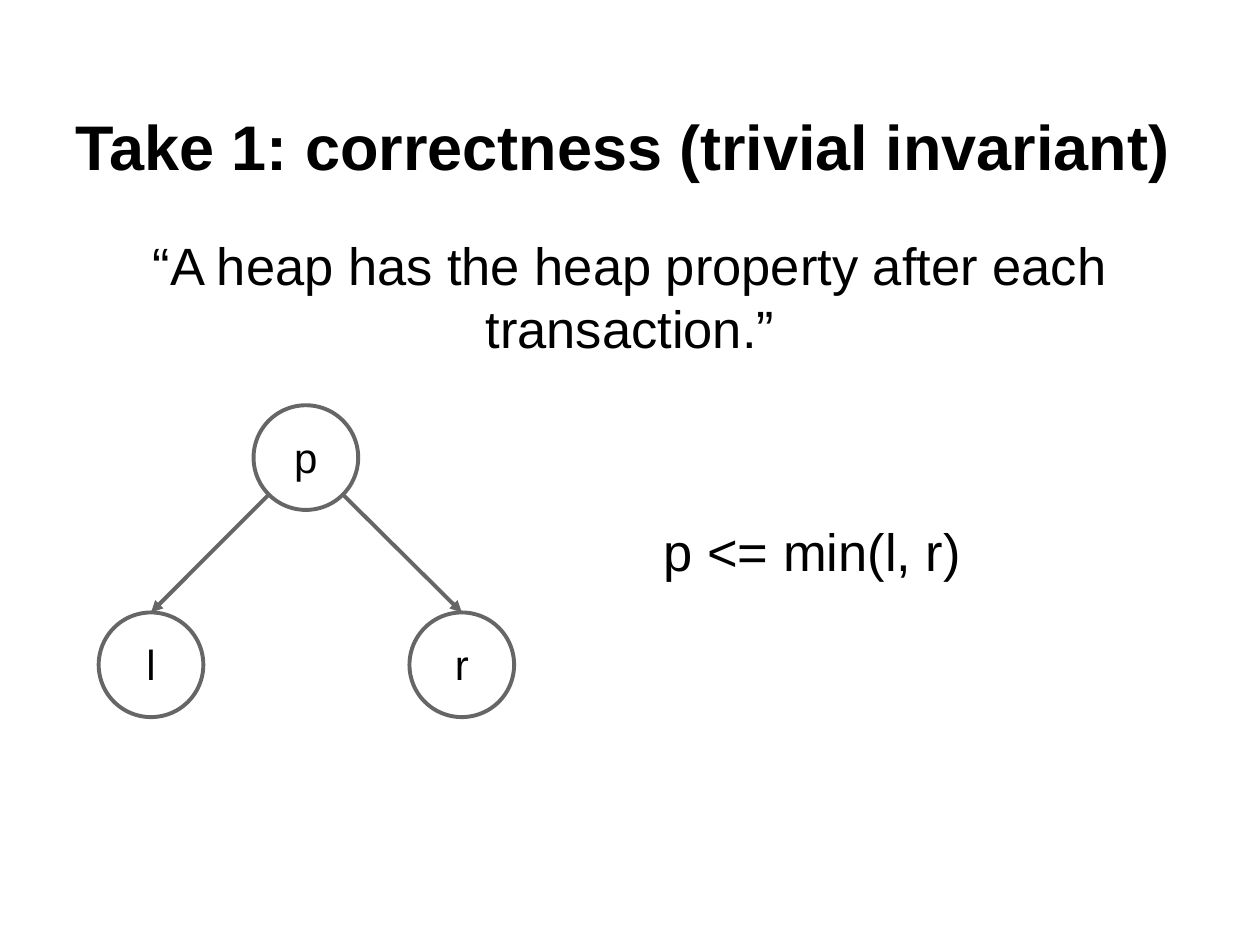
from pptx import Presentation
from pptx.dml.color import RGBColor
from pptx.enum.shapes import MSO_CONNECTOR as Line, MSO_SHAPE as Shape
from pptx.enum.text import MSO_ANCHOR as Anchor, PP_ALIGN as Align
from pptx.oxml.ns import qn
from pptx.util import Pt
from lxml.etree import SubElement

INK, GRAY, WHITE = "000000", "666666", "FFFFFF"
INSET = Pt(7.2)
DIAMETER = 59.8


def color(hex_value):
    return RGBColor.from_string(hex_value)


def place_text(slide, box, text, size, align=Align.LEFT, anchor=Anchor.TOP, bold=False):
    frame = slide.shapes.add_textbox(*map(Pt, box)).text_frame
    settings = {"word_wrap": True, "vertical_anchor": anchor,
                "margin_left": INSET, "margin_right": INSET,
                "margin_top": INSET, "margin_bottom": INSET}
    for name, value in settings.items():
        setattr(frame, name, value)
    paragraph = frame.paragraphs[0]
    paragraph.alignment = align
    run = paragraph.add_run()
    run.text = text
    for name, value in {"name": "Arial", "size": Pt(size), "bold": bold}.items():
        setattr(run.font, name, value)
    run.font.color.rgb = color(INK)


def style_line(line):
    line.color.rgb = color(GRAY)
    line.width = Pt(2.25)


def place_node(slide, left, top, label):
    circle = slide.shapes.add_shape(Shape.OVAL, *map(Pt, (left, top, DIAMETER, DIAMETER)))
    circle.shadow.inherit = False
    circle.fill.solid()
    circle.fill.fore_color.rgb = color(WHITE)
    style_line(circle.line)
    label_width = 32.4
    label_left = left + (DIAMETER - label_width) / 2
    place_text(slide, (label_left, top + 7.9, label_width, 43.2), label, 24, Align.CENTER)


def place_edge(slide, start, end):
    edge = slide.shapes.add_connector(Line.STRAIGHT, *map(Pt, start + end))
    style_line(edge.line)
    SubElement(edge.line._get_or_add_ln(), qn("a:tailEnd"), type="triangle")
    SubElement(edge._element.spPr, qn("a:effectLst"))


def place_heap(slide, left, top, width, height):
    radius = DIAMETER / 2
    reach = radius * 0.5 ** 0.5
    parent_left = left + 88.5
    child_top = top + height - DIAMETER
    place_node(slide, parent_left, top, "p")
    children = (("l", left, -reach), ("r", left + width - DIAMETER, reach))
    for label, child_left, offset in children:
        start = (parent_left + radius + offset, top + radius + reach)
        place_edge(slide, start, (child_left + radius, child_top))
        place_node(slide, child_left, child_top, label)


def place_heading(slide, left, top, width):
    place_text(slide, (left, top, width, 90),
               "Take 1: correctness (trivial invariant)", 36, anchor=Anchor.BOTTOM, bold=True)
    place_text(slide, (left, top + 104.4, width, 93.6),
               "“A heap has the heap property after each transaction.”", 30, Align.CENTER)


deck = Presentation()
deck.slide_width, deck.slide_height = Pt(720), Pt(540)
slide = deck.slides.add_slide(deck.slide_layouts[6])
place_heading(slide, 36, 21.6, 648)
place_heap(slide, 56.4, 231.6, 237.4, 178.2)
place_text(slide, (372.2, 289.4, 191.5, 54.7), "p <= min(l, r)", 30)
deck.save("out.pptx")
